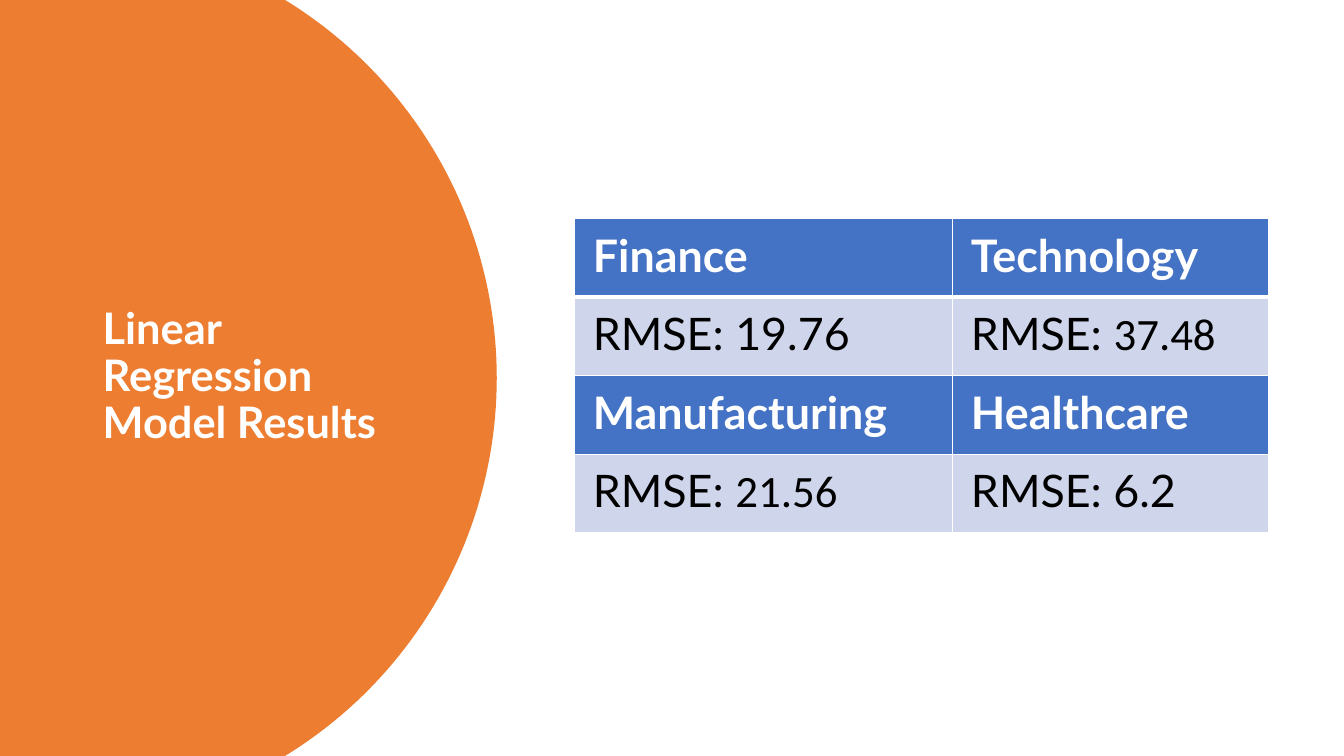
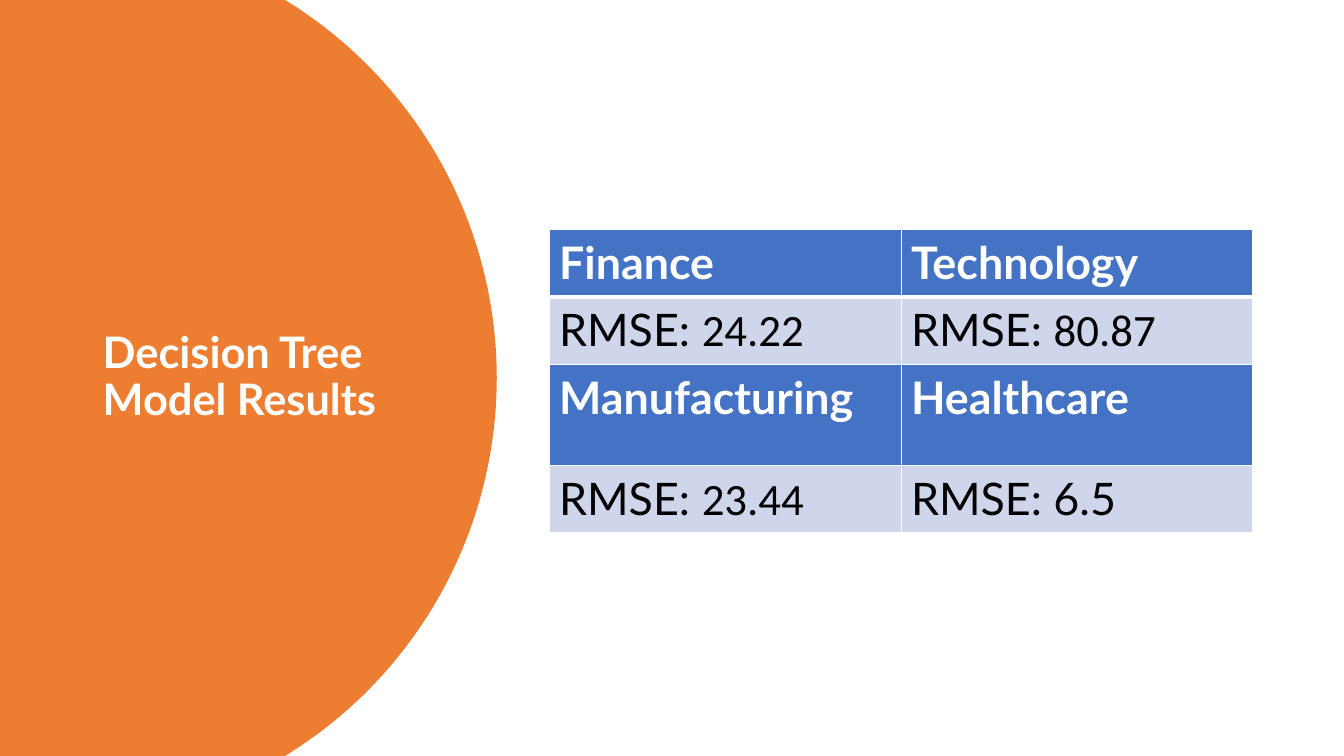
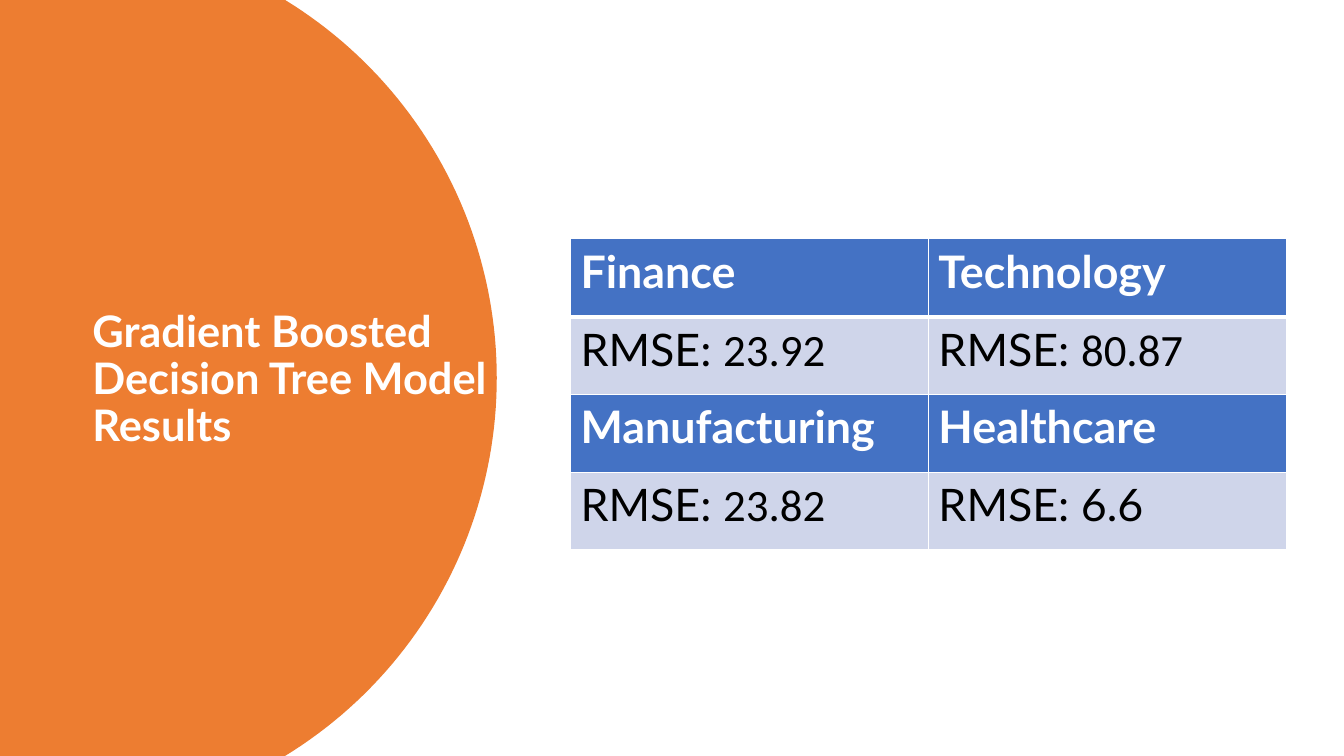
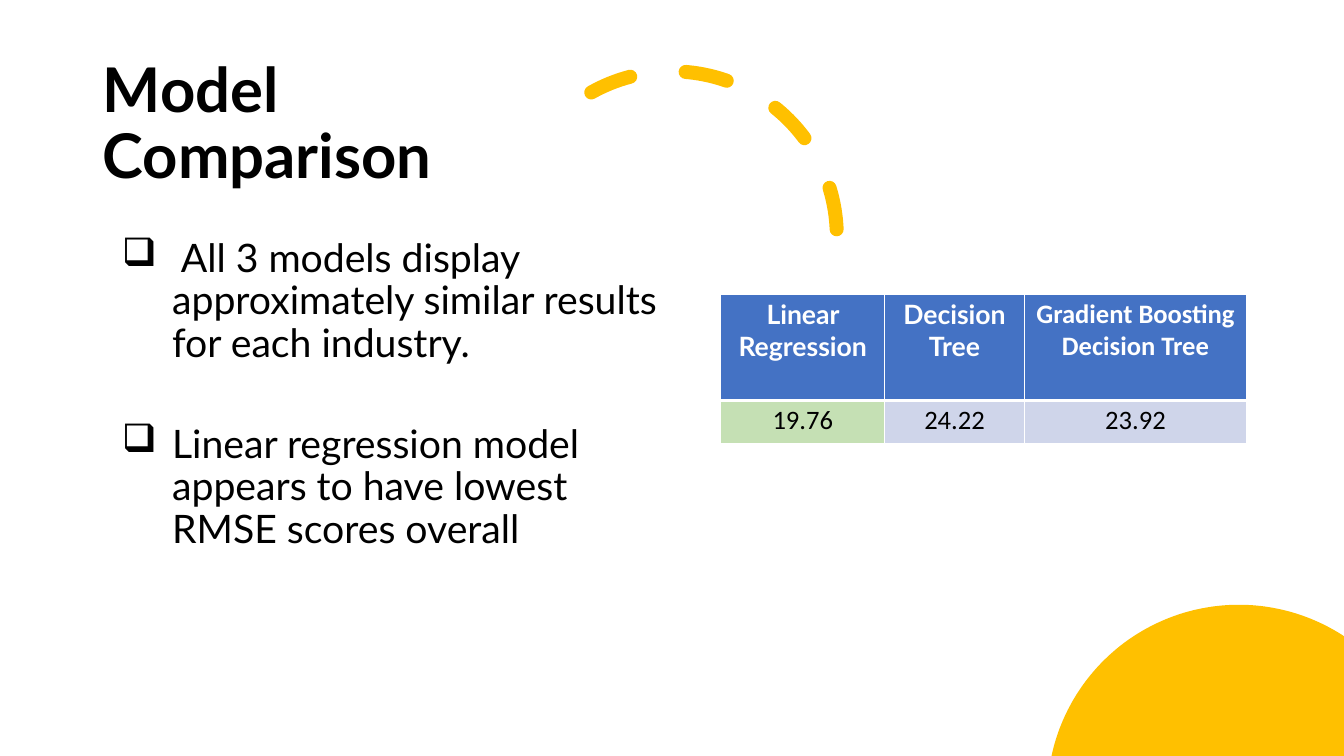
import math

from lxml import etree
from pptx import Presentation
from pptx.dml.color import RGBColor
from pptx.enum.dml import MSO_LINE
from pptx.enum.shapes import MSO_SHAPE
from pptx.enum.text import MSO_ANCHOR, PP_ALIGN
from pptx.oxml.ns import qn
from pptx.util import Cm, Pt

ARC = MSO_SHAPE.ARC
DASH = MSO_LINE.DASH
MIDDLE = MSO_ANCHOR.MIDDLE
LEFT, CENTER = PP_ALIGN.LEFT, PP_ALIGN.CENTER


class Theme:
    orange = RGBColor(0xED, 0x7D, 0x31)
    gold = RGBColor(0xFF, 0xC0, 0x00)
    blue = RGBColor(0x44, 0x72, 0xC4)
    pale = RGBColor(0xCF, 0xD5, 0xEA)
    green = RGBColor(0xC5, 0xE0, 0xB4)
    white = RGBColor(0xFF, 0xFF, 0xFF)
    black = RGBColor(0x00, 0x00, 0x00)
    font, alt = "Lato", "Calibri"
    side, head, body = Pt(31), Pt(44), Pt(28)
    large, small = Pt(32), Pt(19)
    tight = 0.9


WIDE, HIGH = 33.87, 19.05
STEPS = 90

# Each page: title and its box, table place, columns, rows, padding and cells.
# Cell text after "|" is set in the second font.
PAGES = [
    dict(title="Linear Regression Model Results", box=(2.34, 1.78, 8.2, 15.47),
         place=(14.48, 5.51), cols=[9.53, 7.95], rows=[1.98] * 4, pad=(0.46, 0.23),
         cells=[["Finance", "Technology"],
                ["RMSE: 19.76", "RMSE: |37.48"],
                ["Manufacturing", "Healthcare"],
                ["RMSE: |21.56", "RMSE: 6.2"]]),
    dict(title="Decision Tree Model Results", box=(2.34, 1.78, 8.2, 15.47),
         place=(13.84, 5.79), cols=[8.87] * 2, rows=[1.7, 1.7, 2.54, 1.7], pad=(0.25, 0.13),
         cells=[["Finance", "Technology"],
                ["RMSE: |24.22", "RMSE: |80.87"],
                ["Manufacturing", "Healthcare"],
                ["RMSE: |23.44", "RMSE: 6.5"]]),
    dict(title="Gradient Boosted Decision Tree Model Results", box=(2.08, 1.85, 10.46, 15.47),
         place=(14.38, 6.02), cols=[9.02] * 2, rows=[1.96] * 4, pad=(0.25, 0.13),
         cells=[["Finance", "Technology"],
                ["RMSE: |23.92", "RMSE: |80.87"],
                ["Manufacturing", "Healthcare"],
                ["RMSE: |23.82", "RMSE: 6.6"]]),
    dict(title="Model\vComparison", box=(2.34, 1.32, 14.6, 3.68),
         place=(18.16, 7.42), cols=[4.14, 3.51, 5.61], rows=[2.67, 1.09], pad=(0.2, 0.1),
         cells=[["Linear Regression", "Decision Tree", "|Gradient Boosting Decision Tree"],
                ["|19.76", "|24.22", "|23.92"]]),
]
POINTS = [
    " All 3 models display approximately similar results for each industry.",
    "Linear regression model appears to have lowest RMSE scores overall",
]


def add_disc(slide, mid, radius, start, end, corners, color):
    """Draw the part of a disc between two angles, closed through slide corners."""
    turns = [math.radians(start + (end - start) * i / STEPS) for i in range(STEPS + 1)]
    dots = [(mid[0] + radius * math.cos(t), mid[1] + radius * math.sin(t)) for t in turns]
    dots = [(Cm(x), Cm(y)) for x, y in dots + corners]
    form = slide.shapes.build_freeform(*dots[0], scale=1.0)
    form.add_line_segments(dots[1:], close=True)
    disc = form.convert_to_shape()
    disc.shadow.inherit = False
    disc.fill.solid()
    disc.fill.fore_color.rgb = color
    disc.line.fill.background()


def add_edge(cell, side, width):
    """Give one side of a table cell a white line."""
    edge = etree.SubElement(cell._tc.get_or_add_tcPr(), qn("a:" + side), w=str(Pt(width)))
    fill = etree.SubElement(edge, qn("a:solidFill"))
    etree.SubElement(fill, qn("a:srgbClr"), val=str(Theme.white))


deck = Presentation()
deck.slide_width, deck.slide_height = Cm(WIDE), Cm(HIGH)

for page in PAGES:
    slide = deck.slides.add_slide(deck.slide_layouts[6])
    final = page is PAGES[-1]

    # Backdrop
    if final:
        add_disc(slide, (31.22, 20.07), 4.83, 192.2, 303.3, [(WIDE, HIGH)], Theme.gold)
        arc = slide.shapes.add_shape(ARC, Cm(12.78), Cm(1.8), Cm(8.31), Cm(8.31))
        arc.adjustments[0] = 144.42
        arc.shadow.inherit = False
        arc.fill.background()
        arc.line.color.rgb = Theme.gold
        arc.line.width = Pt(10)
        arc.line.dash_style = DASH
        arc._element.spPr.find(qn("a:ln")).set("cap", "rnd")
    else:
        add_disc(slide, (1.35, HIGH / 2), 11.17, -58.5, 58.5, [(0, HIGH), (0, 0)], Theme.orange)

    # Title
    frame = slide.shapes.add_textbox(*map(Cm, page["box"])).text_frame
    frame.word_wrap = True
    frame.vertical_anchor = MIDDLE
    para = frame.paragraphs[0]
    para.text = page["title"]
    para.line_spacing = Theme.tight
    para.font.name = Theme.font
    para.font.bold = True
    para.font.size = Theme.head if final else Theme.side
    para.font.color.rgb = Theme.black if final else Theme.white

    # Table
    cols, rows = page["cols"], page["rows"]
    size = sum(cols), sum(rows)
    table = slide.shapes.add_table(len(rows), len(cols), *map(Cm, page["place"] + size)).table
    for col, width in zip(table.columns, cols):
        col.width = Cm(width)
    for row, height in zip(table.rows, rows):
        row.height = Cm(height)
    for r, texts in enumerate(page["cells"]):
        header = r % 2 == 0
        for c, text in enumerate(texts):
            cell = table.cell(r, c)
            cell.margin_left = cell.margin_right = Cm(page["pad"][0])
            cell.margin_top = cell.margin_bottom = Cm(page["pad"][1])
            for side in ("lnL", "lnR", "lnT", "lnB"):
                add_edge(cell, side, 3 if (r, side) in ((0, "lnB"), (1, "lnT")) else 1)
            best = final and not header and c == 0
            cell.fill.solid()
            cell.fill.fore_color.rgb = Theme.blue if header else Theme.green if best else Theme.pale
            para = cell.text_frame.paragraphs[0]
            para.alignment = CENTER if final else LEFT
            para.font.size = Theme.small if final else Theme.large
            para.font.bold = header
            para.font.color.rgb = Theme.white if header else Theme.black
            for part, font in zip(text.split("|"), (Theme.font, Theme.alt)):
                if part:
                    run = para.add_run()
                    run.text = part
                    run.font.name = font

# Findings on the last slide
frame = slide.shapes.add_textbox(Cm(2.34), Cm(5.89), Cm(14.6), Cm(11.63)).text_frame
frame.word_wrap = True
for i, text in enumerate(POINTS):
    para = frame.add_paragraph() if i else frame.paragraphs[0]
    para.text = text
    para.line_spacing = Theme.tight
    para.space_before = Pt(36 * i)
    para.space_after = Pt(6)
    para.font.name = Theme.font
    para.font.size = Theme.body
    para.font.color.rgb = Theme.black
    props = para._p.get_or_add_pPr()
    props.set("marL", str(Cm(1.75)))
    props.set("indent", str(Cm(-1.27)))
    mark = etree.Element(qn("a:buChar"), char="❑")
    props.find(qn("a:defRPr")).addprevious(mark)

deck.save("out.pptx")
